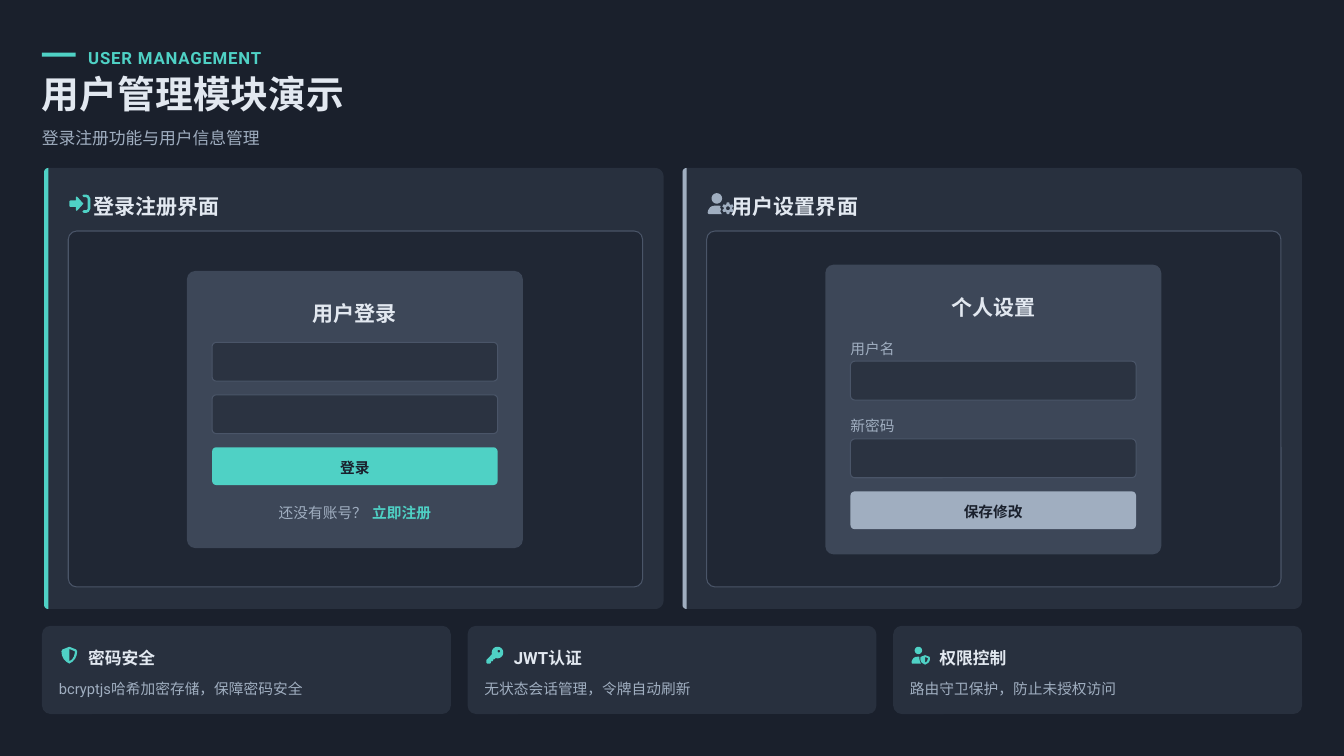
from math import cos, radians, sin

from lxml import etree
from pptx import Presentation
from pptx.dml.color import RGBColor
from pptx.enum.shapes import MSO_SHAPE as SHAPE
from pptx.enum.text import MSO_ANCHOR as ANCHOR, PP_ALIGN as ALIGN
from pptx.oxml.ns import qn
from pptx.util import Emu, Pt

PX = 12700
INK, SLATE, TEAL, GREY, LIGHT = "1A202C", "4A5568", "4FD1C5", "A0AEC0", "E2E8F0"


def px(n):
    """Turn px into EMU."""
    return Emu(round(n * PX))


def rgb(color):
    """Turn a hex string into a colour."""
    return RGBColor.from_string(color)


def arc(cx, cy, r, start=0, end=360, steps=24):
    """Return points along an arc, with angles in degrees."""
    angles = [radians(start + (end - start) * i / steps) for i in range(steps + 1)]
    return [(cx + r * cos(a), cy + r * sin(a)) for a in angles]


def gear(cx, cy, teeth=6):
    """Return the outline of a gear wheel."""
    points = []
    for i in range(teeth):
        for turn, r in ((-22, 104), (-12, 144), (12, 144), (22, 104)):
            points += arc(cx, cy, r, 360 / teeth * i - 90 + turn, 0, 0 + 1)[:1]
    return points


ICONS = {
    "login": [
        [(345, 256), (205, 100), (180, 80), (160, 104), (160, 176), (36, 176), (8, 188),
         (0, 212), (0, 300), (8, 324), (36, 336), (160, 336), (160, 408), (180, 432), (205, 412)],
        [(352, 32), (416, 32), (475, 57), (512, 128), (512, 384), (475, 455), (416, 480),
         (352, 480), (320, 448), (352, 416), (416, 416), (448, 384), (448, 128), (416, 96),
         (352, 96), (320, 64)]],
    "settings": [
        arc(224, 128, 128),
        [(178, 304), (270, 304), (318, 310), (300, 350), (330, 395), (308, 440), (345, 512),
         (30, 512), (0, 482), (12, 415), (60, 345), (110, 315)],
        gear(496, 368), arc(496, 368, 48)],
    "shield": [
        [(256, 0), (466, 83), (496, 140), (480, 260), (430, 370), (350, 455), (256, 512),
         (162, 455), (82, 370), (32, 260), (16, 140), (46, 83)],
        [(256, 66), (256, 444), (340, 385), (400, 290), (432, 140)]],
    "key": [
        arc(336, 176, 176, 108, -197) +
        [(0, 400), (0, 488), (24, 512), (112, 512), (136, 488), (136, 448), (176, 448),
         (200, 424), (200, 384), (240, 384)],
        arc(376, 136, 40)],
    "guard": [
        arc(224, 112, 112),
        [(200, 304), (248, 304), (256, 345), (260, 410), (300, 512), (36, 512), (16, 490),
         (24, 420), (80, 340), (140, 310)],
        [(430, 256), (560, 305), (576, 335), (570, 420), (530, 490), (430, 544), (330, 490),
         (290, 420), (284, 335), (300, 305)],
        [(430, 312), (430, 486), (490, 440), (520, 345)]],
}


def paint(s, fill, alpha=100, line=None):
    """Give a shape its fill, opacity and outline."""
    s.shadow.inherit = False
    s.fill.solid()
    s.fill.fore_color.rgb = rgb(fill)
    if alpha < 100:
        clr = s.fill._xPr.find(qn("a:solidFill"))[0]
        etree.SubElement(clr, qn("a:alpha"), val=str(alpha * 1000))
    if line:
        s.line.color.rgb = rgb(line)
        s.line.width = Pt(1)
    else:
        s.line.fill.background()
    return s


def add_outline(sp, contours, fill, alpha=100):
    """Draw closed contours, given in px, as one freeform."""
    contours = [[(px(x), px(y)) for x, y in c] for c in contours]
    builder = sp.build_freeform(*contours[0][0])
    for i, c in enumerate(contours):
        if i:
            builder.move_to(*c[0])
        builder.add_line_segments(c[1:], close=True)
    return paint(builder.convert_to_shape(), fill, alpha)


def add_icon(sp, name, x, y, size, color):
    """Draw an icon from its 512-unit grid."""
    k = size / 512
    add_outline(sp, [[(x + a * k, y + b * k) for a, b in c] for c in ICONS[name]], color)


def add_round(sp, x, y, w, h, r, fill, alpha=100, line=None):
    """Draw a rounded rectangle with a radius in px."""
    s = sp.add_shape(SHAPE.ROUNDED_RECTANGLE, px(x), px(y), px(w), px(h))
    s.adjustments[0] = r / min(w, h)
    return paint(s, fill, alpha, line)


def write(s, text, size, color, bold=False, align=ALIGN.LEFT, spacing=1.2, track=None):
    """Write one formatted line into a shape."""
    tf = s.text_frame
    tf.word_wrap = True
    tf.vertical_anchor = ANCHOR.MIDDLE
    tf.margin_left = tf.margin_right = tf.margin_top = tf.margin_bottom = 0
    p = tf.paragraphs[0]
    p.alignment, p.line_spacing = align, spacing
    r = p.add_run()
    r.text = text
    r.font.name, r.font.size, r.font.bold = "Roboto", Pt(size), bold
    r.font.color.rgb = rgb(color)
    if track:
        r._r.get_or_add_rPr().set("spc", str(track))


def add_text(sp, x, y, w, h, text, size, color, **fmt):
    """Place a text box."""
    write(sp.add_textbox(px(x), px(y), px(w), px(h)), text, size, color, **fmt)


def add_header(sp, x, y, w):
    """Place the label, title and subtitle."""
    paint(sp.add_shape(SHAPE.RECTANGLE, px(x), px(y + 10), px(32), px(4)), TEAL)
    add_text(sp, x + 44, y, 178, 24, "USER MANAGEMENT", 16, TEAL, bold=True, spacing=1.3, track=80)
    add_text(sp, x, y + 32, w, 40, "用户管理模块演示", 36, LIGHT, bold=True, spacing=0.9)
    add_text(sp, x, y + 76, w, 24, "登录注册功能与用户信息管理", 16, GREY, spacing=1.3)


def add_panel(sp, x, y, w, h, title, icon, accent):
    """Place a panel with its accent bar, heading and frame."""
    left = arc(x + 4, y + h - 4, 4, 90, 180, 8) + arc(x + 4, y + 4, 4, 180, 270, 8)
    right = arc(x + w - 8, y + 8, 8, 270, 360, 8) + arc(x + w - 8, y + h - 8, 8, 0, 90, 8)
    add_outline(sp, [left + right], SLATE, 30)
    add_outline(sp, [left], accent)
    add_icon(sp, icon, x + 24, y + 24, 20, accent)
    add_text(sp, x + 47, y + 20, w - 57, 28, title, 20, LIGHT, bold=True)
    add_round(sp, x + 23, y + 60, w - 43, 339, 8, INK, 50, SLATE)


def add_form(sp, x, y, w, h, title):
    """Place a form card with its title."""
    add_round(sp, x, y, w, h, 8, SLATE, 70)
    add_text(sp, x + 19, y + 24, w - 38, 28, title, 20, LIGHT, bold=True, align=ALIGN.CENTER)


def add_input(sp, x, y, w):
    """Place an empty input field."""
    add_round(sp, x, y, w, 37, 4, INK, 50, SLATE)


def add_button(sp, x, y, w, text, color):
    """Place a button with its caption."""
    s = add_round(sp, x, y, w, 36, 4, color)
    write(s, text, 14, INK, bold=True, align=ALIGN.CENTER)


def add_login_form(sp, x, y, w, h):
    """Place the login form."""
    add_form(sp, x, y, w, h, "用户登录")
    for i in range(2):
        add_input(sp, x + 24, y + 68 + 50 * i, w - 48)
    add_button(sp, x + 24, y + 168, w - 48, "登录", TEAL)
    add_text(sp, x + 84, y + 219, 91, 19, "还没有账号？", 14, GREY, align=ALIGN.CENTER)
    add_text(sp, x + 173, y + 219, 63, 19, "立即注册", 14, TEAL, bold=True, align=ALIGN.CENTER)


def add_settings_form(sp, x, y, w, h):
    """Place the settings form."""
    add_form(sp, x, y, w, h, "个人设置")
    for i, label in enumerate(("用户名", "新密码")):
        add_text(sp, x + 24, y + 68 + 74 * i, w - 41, 20, label, 14, GREY)
        add_input(sp, x + 24, y + 92 + 74 * i, w - 48)
    add_button(sp, x + 24, y + 216, w - 48, "保存修改", GREY)


def add_feature(sp, x, y, w, h, icon, inset, title, note):
    """Place a feature card."""
    add_round(sp, x, y, w, h, 8, SLATE, 30)
    add_icon(sp, icon, x + inset, y + 20, 16, TEAL)
    add_text(sp, x + 44, y + 16, 80, 24, title, 16, LIGHT, bold=True, spacing=1.3)
    add_text(sp, x + 16, y + 48, w - 25, 20, note, 14, GREY)


def main():
    """Build the slide."""
    prs = Presentation()
    prs.slide_width, prs.slide_height = px(1280), px(720)
    slide = prs.slides.add_slide(prs.slide_layouts[6])
    slide.background.fill.solid()
    slide.background.fill.fore_color.rgb = rgb(INK)
    sp = slide.shapes
    add_header(sp, 40, 40, 1208)
    add_panel(sp, 42, 160, 590, 420, "登录注册界面", "login", TEAL)
    add_login_form(sp, 178, 258, 320, 264)
    add_panel(sp, 650, 160, 590, 420, "用户设置界面", "settings", GREY)
    add_settings_form(sp, 786, 252, 320, 276)
    features = [("shield", 18, "密码安全", "bcryptjs哈希加密存储，保障密码安全"),
                ("key", 18, "JWT认证", "无状态会话管理，令牌自动刷新"),
                ("guard", 17, "权限控制", "路由守卫保护，防止未授权访问")]
    gap = 16
    w = (1200 - gap * 2) / 3
    for i, feature in enumerate(features):
        add_feature(sp, 40 + i * (w + gap), 596, w, 84, *feature)
    prs.save("out.pptx")


if __name__ == "__main__":
    main()
